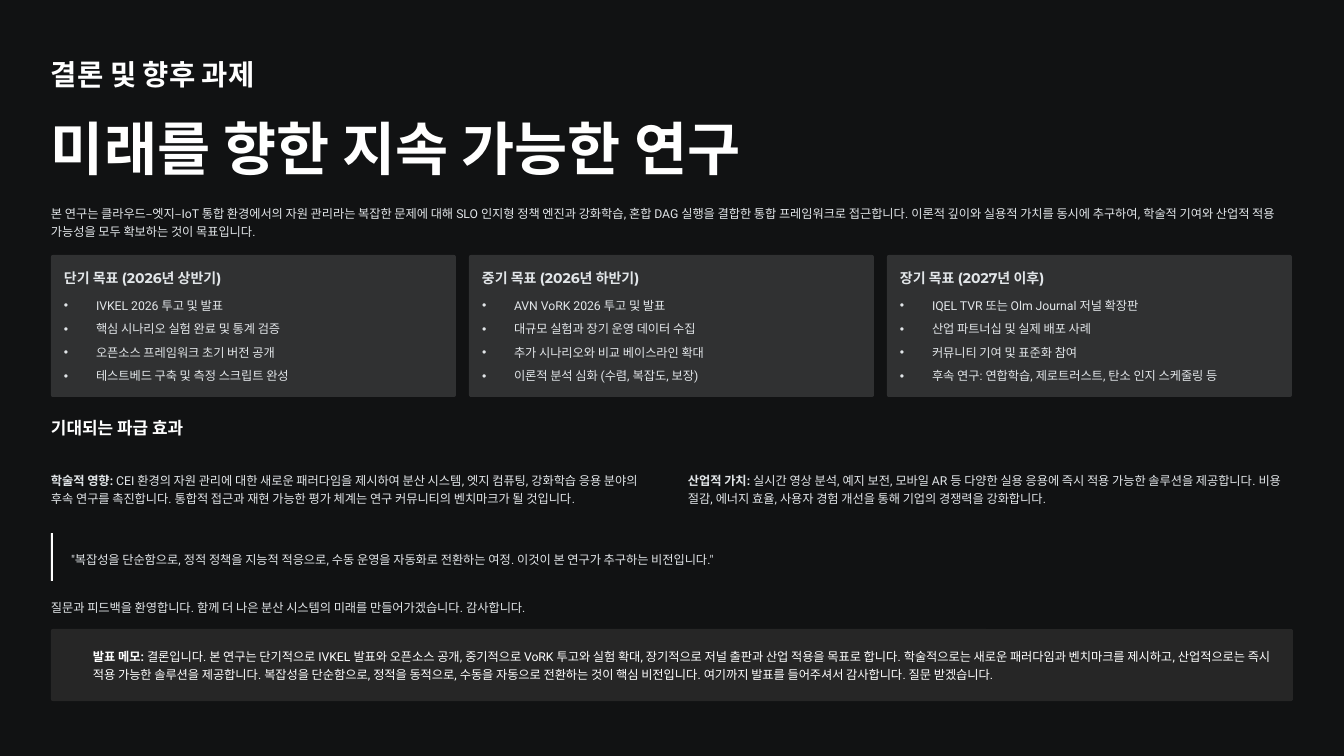
from lxml import etree
from pptx import Presentation
from pptx import util as u
from pptx.dml.color import RGBColor
from pptx.enum import shapes, text
from pptx.oxml import ns

WHITE = RGBColor(0xFF, 0xFF, 0xFF)
PALE = RGBColor(0xE2, 0xE6, 0xE9)
NIGHT = RGBColor(0x11, 0x12, 0x13)
CARD = RGBColor(0x30, 0x31, 0x32)
MEMO = RGBColor(0x26, 0x26, 0x26)
HEAD_FONT, BODY_FONT = "Montserrat", "Roboto"

SECTION = "결론 및 향후 과제"
TITLE = "미래를 향한 지속 가능한 연구"
INTRO = (
    "본 연구는 클라우드–엣지–IoT 통합 환경에서의 자원 관리라는 복잡한 문제에 대해 "
    "SLO 인지형 정책 엔진과 강화학습, 혼합 DAG 실행을 결합한 통합 프레임워크로 접근합니다. "
    "이론적 깊이와 실용적 가치를 동시에 추구하여, 학술적 기여와 산업적 적용 가능성을 "
    "모두 확보하는 것이 목표입니다."
)
GOALS = [
    ("단기 목표 (2026년 상반기)", [
        "IVKEL 2026 투고 및 발표",
        "핵심 시나리오 실험 완료 및 통계 검증",
        "오픈소스 프레임워크 초기 버전 공개",
        "테스트베드 구축 및 측정 스크립트 완성",
    ]),
    ("중기 목표 (2026년 하반기)", [
        "AVN VoRK 2026 투고 및 발표",
        "대규모 실험과 장기 운영 데이터 수집",
        "추가 시나리오와 비교 베이스라인 확대",
        "이론적 분석 심화 (수렴, 복잡도, 보장)",
    ]),
    ("장기 목표 (2027년 이후)", [
        "IQEL TVR 또는 Olm Journal 저널 확장판",
        "산업 파트너십 및 실제 배포 사례",
        "커뮤니티 기여 및 표준화 참여",
        "후속 연구: 연합학습, 제로트러스트, 탄소 인지 스케줄링 등",
    ]),
]
IMPACT = "기대되는 파급 효과"
EFFECTS = [
    ("학술적 영향:",
     " CEI 환경의 자원 관리에 대한 새로운 패러다임을 제시하여 분산 시스템, 엣지 컴퓨팅, "
     "강화학습 응용 분야의 후속 연구를 촉진합니다. 통합적 접근과 재현 가능한 평가 체계는 "
     "연구 커뮤니티의 벤치마크가 될 것입니다."),
    ("산업적 가치:",
     " 실시간 영상 분석, 예지 보전, 모바일 AR 등 다양한 실용 응용에 즉시 적용 가능한 "
     "솔루션을 제공합니다. 비용 절감, 에너지 효율, 사용자 경험 개선을 통해 기업의 "
     "경쟁력을 강화합니다."),
]
QUOTE = (
    '"복잡성을 단순함으로, 정적 정책을 지능적 적응으로, 수동 운영을 자동화로 전환하는 여정. '
    '이것이 본 연구가 추구하는 비전입니다."'
)
CLOSING = "질문과 피드백을 환영합니다. 함께 더 나은 분산 시스템의 미래를 만들어가겠습니다. 감사합니다."
NOTE = (
    "발표 메모:",
    " 결론입니다. 본 연구는 단기적으로 IVKEL 발표와 오픈소스 공개, 중기적으로 VoRK 투고와 "
    "실험 확대, 장기적으로 저널 출판과 산업 적용을 목표로 합니다. 학술적으로는 새로운 "
    "패러다임과 벤치마크를 제시하고, 산업적으로는 즉시 적용 가능한 솔루션을 제공합니다. "
    "복잡성을 단순함으로, 정적을 동적으로, 수동을 자동으로 전환하는 것이 핵심 비전입니다. "
    "여기까지 발표를 들어주셔서 감사합니다. 질문 받겠습니다.",
)

LEFT, WIDTH = 51, 1242
CARD_TOP, CARD_WIDTH, CARD_HEIGHT, CARD_GAP, PAD = 255, 405, 142, 13, 13
EFFECT_WIDTH, EFFECT_STEP = 605, 637
BULLET_INDENT = 32
CORNER = 2


def px(length):
    return u.Emu(round(length * 914400 / 84))


def place(shape, left, top, width, height):
    shape.left, shape.top, shape.width, shape.height = map(px, (left, top, width, height))


def add_panel(page, kind, area, color):
    panel = page.shapes.add_shape(kind, *map(px, area))
    panel.shadow.inherit = False
    panel.fill.solid()
    panel.fill.fore_color.rgb = color
    panel.line.fill.background()
    if kind == shapes.MSO_SHAPE.ROUNDED_RECTANGLE:
        panel.adjustments[0] = round(CORNER / area[3], 3)


def set_bullet(para, bulleted):
    props = para._p.get_or_add_pPr()
    indent = px(BULLET_INDENT) if bulleted else 0
    props.set("marL", str(indent))
    props.set("indent", str(-indent))
    if bulleted:
        etree.SubElement(props, ns.qn("a:buChar"), char="•")
    else:
        etree.SubElement(props, ns.qn("a:buNone"))


def write(page, area, paragraphs, size=10.5, leading=16, font=BODY_FONT,
          color=PALE, bold=False, bulleted=False, holder=None):
    box = holder or page.shapes.add_textbox(0, 0, 0, 0)
    page.shapes._spTree.append(box._element)
    place(box, *area)
    frame = box.text_frame
    frame.word_wrap = True
    frame.auto_size = text.MSO_AUTO_SIZE.NONE
    frame.vertical_anchor = text.MSO_ANCHOR.TOP
    frame.margin_left = frame.margin_top = frame.margin_right = frame.margin_bottom = 0
    for number, parts in enumerate(paragraphs):
        para = frame.add_paragraph() if number else frame.paragraphs[0]
        para.alignment = text.PP_ALIGN.LEFT
        para.line_spacing = u.Pt(leading)
        para.space_before = u.Pt(0)
        para.space_after = u.Pt(4.2 if bulleted else 0)
        set_bullet(para, bulleted)
        for index, words in enumerate(parts):
            span = para.add_run()
            span.text = words
            span.font.size = u.Pt(size)
            span.font.name = font
            span.font.bold = bold or (len(parts) > 1 and index == 0)
            span.font.color.rgb = color


def main():
    deck = Presentation()
    deck.slide_width, deck.slide_height = px(1344), px(756)
    page = deck.slides.add_slide(deck.slide_layouts.get_by_name("Comparison"))
    page.background.fill.solid()
    page.background.fill.fore_color.rgb = NIGHT
    title, intro, *lists = list(page.placeholders)
    heading = {"font": HEAD_FONT, "bold": True}

    write(page, (LEFT, 55, 291, 36), [[SECTION]], 24.5, 31, color=WHITE, **heading)
    write(page, (LEFT, 110, 709, 73), [[TITLE]], 49.5, 62, color=WHITE, holder=title, **heading)
    write(page, (LEFT, 202, WIDTH, 39), [[INTRO]], holder=intro)

    for column, ((name, items), holder) in enumerate(zip(GOALS, lists)):
        left = LEFT + column * (CARD_WIDTH + CARD_GAP)
        inner = CARD_WIDTH - 2 * PAD
        add_panel(page, shapes.MSO_SHAPE.ROUNDED_RECTANGLE,
                  (left, CARD_TOP, CARD_WIDTH, CARD_HEIGHT), CARD)
        write(page, (left + PAD, CARD_TOP + PAD, inner, 18), [[name]], 12, 15.5, **heading)
        write(page, (left + PAD, CARD_TOP + 39, inner, 90), [[item] for item in items],
              bulleted=True, holder=holder)

    write(page, (LEFT, 416, 175, 22), [[IMPACT]], 14.5, 18.5, color=WHITE, **heading)
    for column, effect in enumerate(EFFECTS):
        write(page, (LEFT + column * EFFECT_STEP, 469, EFFECT_WIDTH, 39), [effect])

    write(page, (71, 548, 1222, 19), [[QUOTE]])
    add_panel(page, shapes.MSO_SHAPE.RECTANGLE, (LEFT, 533, 2, 48), WHITE)
    write(page, (LEFT, 596, WIDTH, 19), [[CLOSING]])
    add_panel(page, shapes.MSO_SHAPE.ROUNDED_RECTANGLE, (LEFT, 629, WIDTH, 72), MEMO)
    write(page, (93, 645, 1187, 39), [NOTE], color=WHITE)
    deck.save("out.pptx")


if __name__ == "__main__":
    main()
